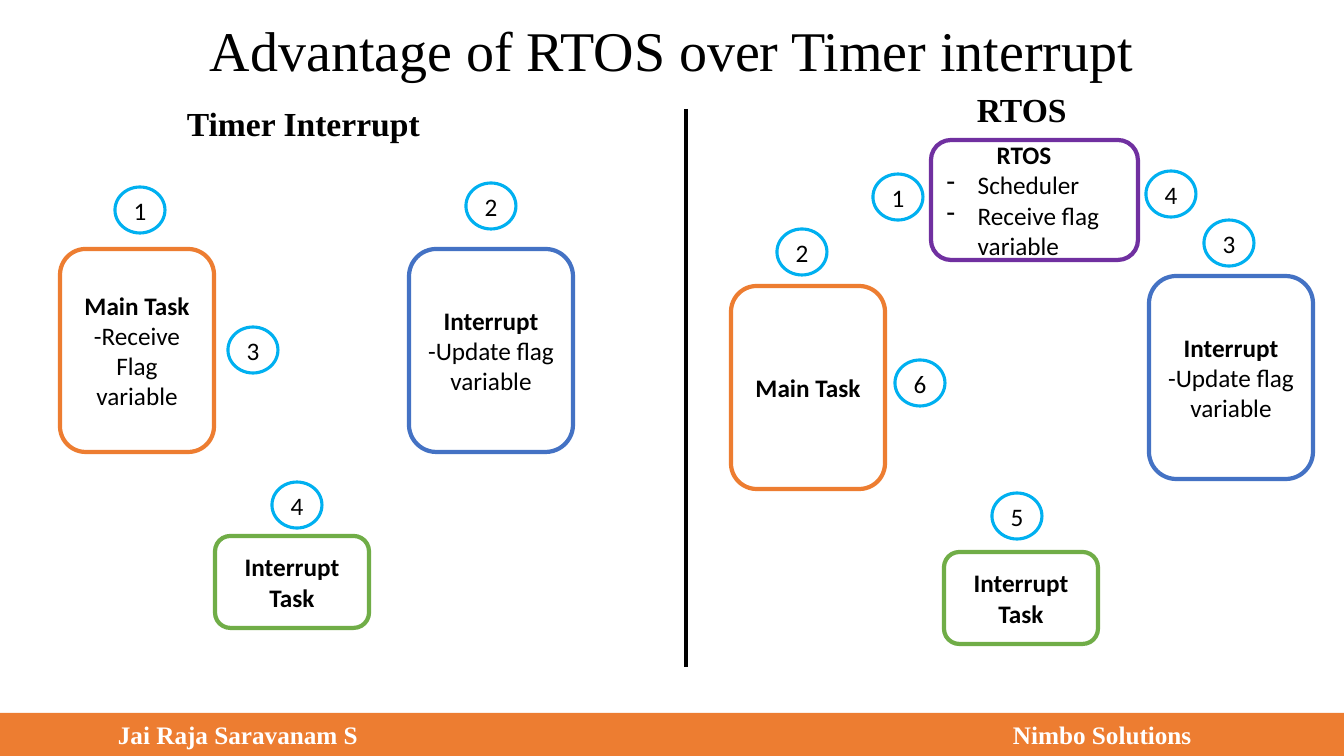
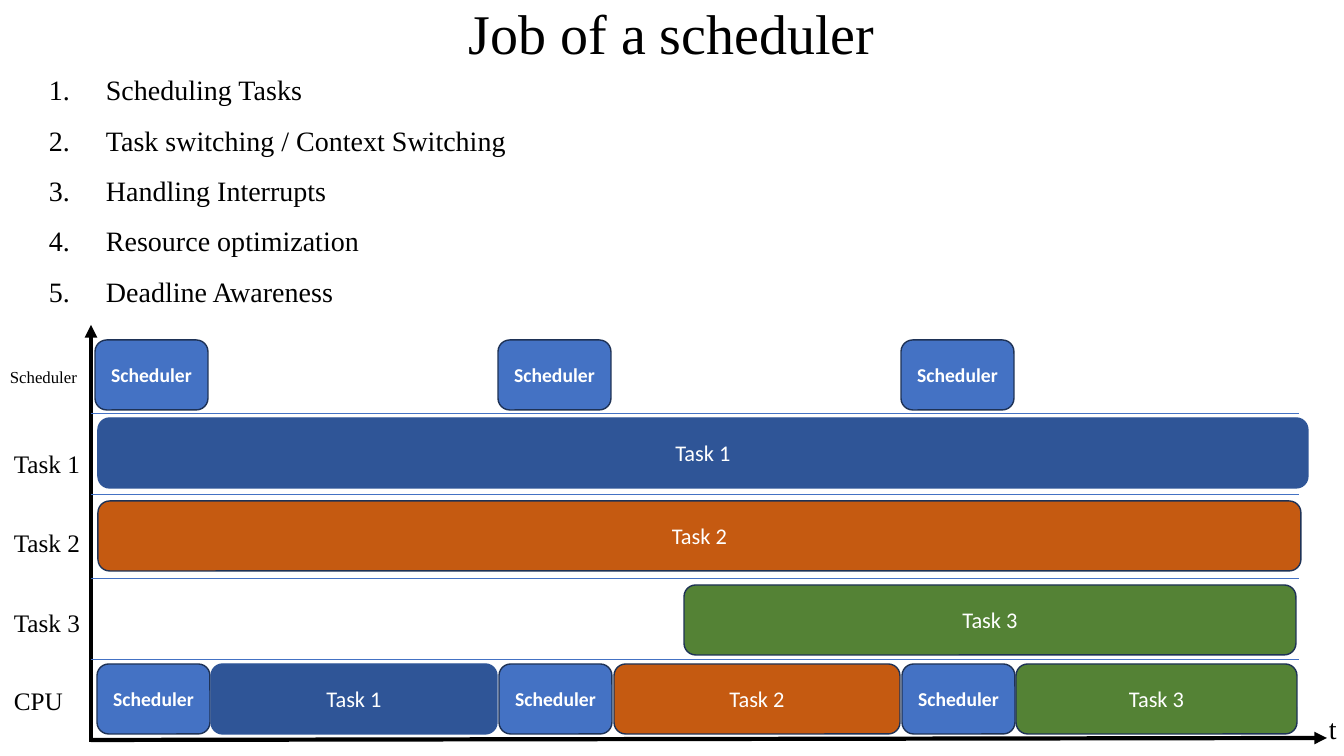
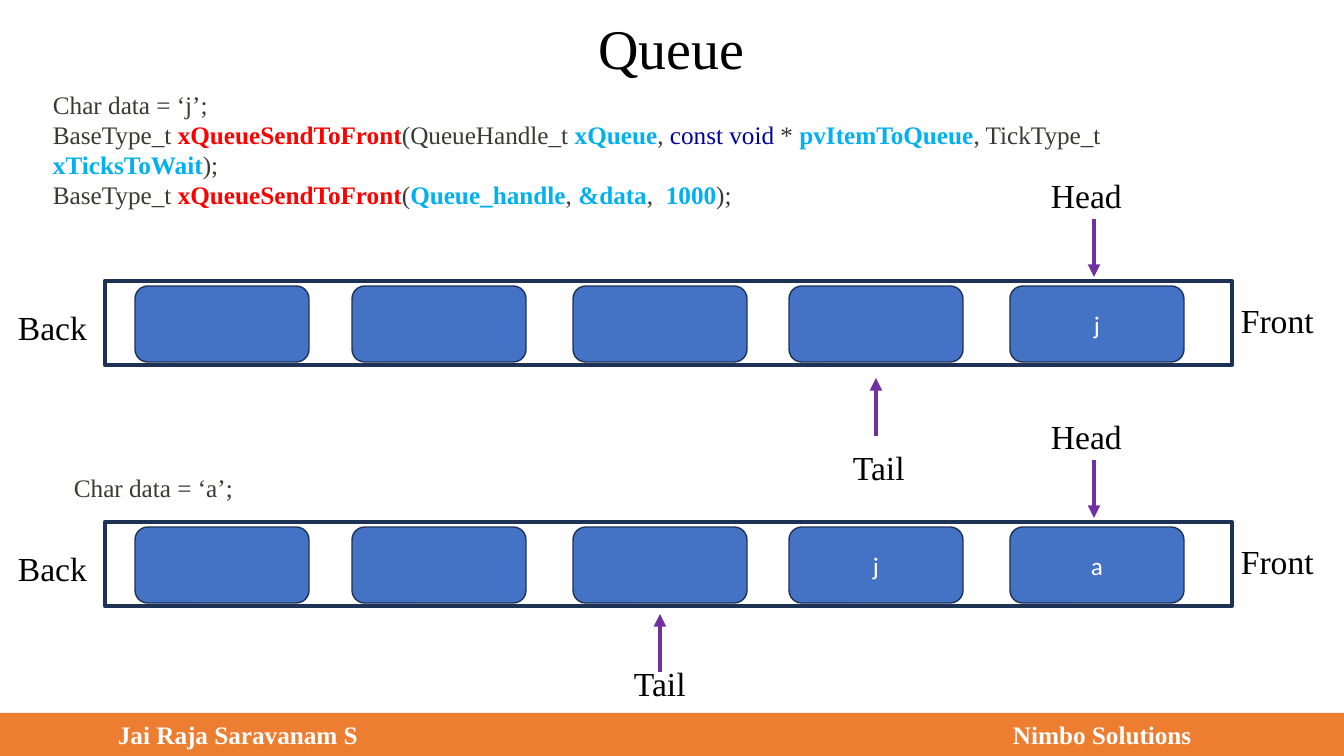
from lxml import etree
from pptx import Presentation
from pptx import util as u
from pptx.dml.color import RGBColor
from pptx.enum import shapes, text
from pptx.oxml.ns import qn

SLIDE_WIDTH, SLIDE_HEIGHT = 1344, 756
EMU_PER_PX = 12192000 / SLIDE_WIDTH

SERIF, SANS = "Times New Roman", "Calibri"
BLACK = RGBColor(0x00, 0x00, 0x00)
WHITE = RGBColor(0xFF, 0xFF, 0xFF)
ORANGE = RGBColor(0xED, 0x7D, 0x31)
GREEN = RGBColor(0x70, 0xAD, 0x47)
BLUE = RGBColor(0x44, 0x72, 0xC4)
PURPLE = RGBColor(0x70, 0x30, 0xA0)
SKY = RGBColor(0x00, 0xB0, 0xF0)
NAVY = RGBColor(0x1E, 0x32, 0x56)
DARK_BLUE = RGBColor(0x2F, 0x55, 0x97)
DARK_ORANGE = RGBColor(0xC5, 0x5A, 0x11)
DARK_GREEN = RGBColor(0x54, 0x82, 0x35)
CODE_INK = RGBColor(0x39, 0x3A, 0x34)
RED = RGBColor(0xFF, 0x00, 0x00)
KEYWORD = RGBColor(0x00, 0x00, 0x9F)

RECT = shapes.MSO_SHAPE.RECTANGLE
ROUND = shapes.MSO_SHAPE.ROUNDED_RECTANGLE
OVAL = shapes.MSO_SHAPE.OVAL
LEFT, CENTER = text.PP_ALIGN.LEFT, text.PP_ALIGN.CENTER

FOOTER_TOP = 713
FOOTER_TEXTS = [(108, "Jai Raja Saravanam S"), (1003, "Nimbo Solutions")]

# Slide 1
COMPARE_TITLE = "Advantage of RTOS over Timer interrupt"
COLUMN_HEADINGS = [("Timer Interrupt", 177, 78, 262), ("RTOS", 967, 64, 135)]
MAIN_SIZE, TASK_SIZE, INTERRUPT_SIZE = (154, 203), (154, 92), (164, 203)
INTERRUPT_LINES = ["Interrupt", "-Update flag variable"]
# left, top, size, outline, lines, number of bold lines
BLOCKS = [
    (60, 249, MAIN_SIZE, ORANGE, ["Main Task", "-Receive Flag variable"], 1),
    (731, 286, MAIN_SIZE, ORANGE, ["Main Task"], 1),
    (944, 552, TASK_SIZE, GREEN, ["Interrupt", "Task"], 2),
    (215, 536, TASK_SIZE, GREEN, ["Interrupt", "Task"], 2),
    (409, 249, INTERRUPT_SIZE, BLUE, INTERRUPT_LINES, 1),
    (1149, 276, INTERRUPT_SIZE, BLUE, INTERRUPT_LINES, 1),
]
RTOS_BOX = (931, 140, 207, 120)
RTOS_DUTIES = ["Scheduler", "Receive flag variable"]
BADGES = [
    ("1", 115, 187), ("2", 466, 183), ("3", 228, 327), ("4", 272, 482),
    ("2", 777, 229), ("3", 1204, 220), ("1", 873, 174), ("4", 1146, 171),
    ("5", 992, 493), ("6", 895, 360),
]

# Slide 2
SCHEDULER_JOBS = [
    "Scheduling Tasks", "Task switching / Context Switching",
    "Handling Interrupts", "Resource optimization", "Deadline Awareness",
]
BAR_STYLES = {  # fill, outline, size, bold
    "Scheduler": (BLUE, NAVY, 14, True),
    "Task 1": (DARK_BLUE, DARK_BLUE, 16, False),
    "Task 2": (DARK_ORANGE, NAVY, 16, False),
    "Task 3": (DARK_GREEN, NAVY, 16, False),
}
SLOT = 113
TIMELINE = [  # row top, bars as (name, left, width)
    (340, [("Scheduler", left, SLOT) for left in (95, 498, 901)]),
    (418, [("Task 1", 98, 1210)]),
    (501, [("Task 2", 98, 1203)]),
    (585, [("Task 3", 684, 612)]),
    (664, [("Scheduler", 97, SLOT), ("Task 1", 211, 286),
           ("Scheduler", 499, SLOT), ("Task 2", 614, 286),
           ("Scheduler", 902, SLOT), ("Task 3", 1016, 281)]),
]
BAR_HEIGHT = 70
ROW_RULES = [413, 494, 578, 659]
AXIS_LABELS = [("Scheduler", 0, 362, 12), ("Task 1", 4, 443, 18),
               ("Task 2", 4, 522, 18), ("Task 3", 4, 602, 18),
               ("CPU", 4, 680, 18)]

# Slide 3
CALL = [("BaseType_t ", CODE_INK), ("xQueueSendToFront", RED)]
FRONT_CODE = [
    [("Char data = ‘j’;", CODE_INK)],
    CALL + [("(QueueHandle_t ", CODE_INK), ("xQueue", SKY), (", ", CODE_INK),
            ("const void", KEYWORD), (" * ", CODE_INK),
            ("pvItemToQueue", SKY), (", TickType_t ", CODE_INK),
            ("xTicksToWait", SKY), (");", CODE_INK)],
    CALL + [("(", CODE_INK), ("Queue_handle", SKY), (", ", CODE_INK),
            ("&data", SKY), (",  ", CODE_INK), ("1000", SKY),
            (");", CODE_INK)],
]
SECOND_CODE = [[("Char data = ‘a’;", CODE_INK)]]
CELL_LEFTS = [135, 352, 573, 789, 1010]
CELL_WIDTH, CELL_HEIGHT = 174, 76
# frame top, cell texts, tail cell, tail arrow top, tail label left and top
QUEUES = [
    (281, ["", "", "", "", "j"], 3, 378, 843, 442),
    (522, ["", "", "", "j", "a"], 2, 614, 624, 658),
]
HEAD_X, ARROW_LENGTH = 1094, 58


def px(value):
    return u.Emu(round(value * EMU_PER_PX))


def box(left, top, width, height):
    return px(left), px(top), px(width), px(height)


def set_bullet(paragraph, indent, tag=None, **attributes):
    """Indent a paragraph, with a hanging bullet when a bullet tag is given."""
    properties = paragraph._p.get_or_add_pPr()
    properties.set("marL", str(px(indent)))
    if tag:
        properties.set("indent", str(-px(indent)))
        etree.SubElement(properties, qn(tag), attributes)


def format_paragraph(paragraph, font, size, color=None, bold=False,
                     align=LEFT, spacing=None):
    paragraph.alignment = align
    if spacing:
        paragraph.line_spacing = spacing
    paragraph.font.name = font
    paragraph.font.size = u.Pt(size)
    paragraph.font.bold = bold
    if color is not None:
        paragraph.font.color.rgb = color


def add_paragraphs(frame, lines):
    """Fill a text frame with one paragraph a line and return them."""
    frame.word_wrap = True
    paragraphs = []
    for line in lines:
        paragraph = frame.add_paragraph() if paragraphs else frame.paragraphs[0]
        if line:
            paragraph.add_run().text = line
        paragraphs.append(paragraph)
    return paragraphs


def add_label(slide, words, left, top, width, height, size, **style):
    label = slide.shapes.add_textbox(*box(left, top, width, height))
    paragraph, = add_paragraphs(label.text_frame, [words])
    format_paragraph(paragraph, SERIF, size, **{"color": BLACK, **style})
    return label


def add_box(slide, kind, bounds, fill=None, outline=None, weight=1):
    shape = slide.shapes.add_shape(kind, *box(*bounds))
    shape.shadow.inherit = False
    if fill is None:
        shape.fill.background()
    else:
        shape.fill.solid()
        shape.fill.fore_color.rgb = fill
    if outline is None:
        shape.line.fill.background()
    else:
        shape.line.color.rgb = outline
        shape.line.width = u.Pt(weight)
    shape.text_frame.vertical_anchor = text.MSO_ANCHOR.MIDDLE
    return shape


def add_centred(shape, words, size, color, bold=False):
    paragraph, = add_paragraphs(shape.text_frame, [words])
    format_paragraph(paragraph, SANS, size, color, bold, CENTER)


def add_line(slide, start, end, color, weight, arrow=False):
    line = slide.shapes.add_connector(
        shapes.MSO_CONNECTOR.STRAIGHT, *map(px, start + end))
    line.line.color.rgb = color
    line.line.width = u.Pt(weight)
    properties = line._element.spPr
    if arrow:
        etree.SubElement(properties.find(qn("a:ln")), qn("a:tailEnd"),
                         type="triangle")
    etree.SubElement(properties, qn("a:effectLst"))


def add_slide(presentation, title, title_top):
    slide = presentation.slides.add_slide(presentation.slide_layouts[5])
    holder = slide.shapes.title
    holder.left, holder.top, holder.width, holder.height = box(
        60, title_top, 1223, 67)
    frame = holder.text_frame
    frame.auto_size = text.MSO_AUTO_SIZE.NONE
    frame.vertical_anchor = text.MSO_ANCHOR.MIDDLE
    paragraph, = add_paragraphs(frame, [title])
    format_paragraph(paragraph, SERIF, 40, BLACK, align=CENTER, spacing=0.9)
    return slide


def add_footer(slide):
    height = SLIDE_HEIGHT - FOOTER_TOP
    add_box(slide, RECT, (0, FOOTER_TOP, SLIDE_WIDTH, height), ORANGE)
    for left, words in FOOTER_TEXTS:
        label = add_label(slide, words, left, FOOTER_TOP, 320, height, 18,
                          color=WHITE, bold=True)
        label.text_frame.vertical_anchor = text.MSO_ANCHOR.MIDDLE


def build_comparison(presentation):
    slide = add_slide(presentation, COMPARE_TITLE, 20)
    add_footer(slide)
    add_line(slide, (686, 109), (686, 667), BLACK, 3)
    for words, left, top, width in COLUMN_HEADINGS:
        add_label(slide, words, left, top, width, 64, 24,
                  bold=True, spacing=1.5)

    for left, top, size, outline, lines, bold_count in BLOCKS:
        block = add_box(slide, ROUND, (left, top, *size), WHITE, outline, 3)
        paragraphs = add_paragraphs(block.text_frame, lines)
        for index, paragraph in enumerate(paragraphs):
            format_paragraph(paragraph, SANS, 18, BLACK,
                             index < bold_count, CENTER)

    rtos = add_box(slide, ROUND, RTOS_BOX, WHITE, PURPLE, 3)
    heading, *duties = add_paragraphs(rtos.text_frame, ["RTOS"] + RTOS_DUTIES)
    set_bullet(heading, 50)
    format_paragraph(heading, SANS, 18, BLACK, bold=True)
    for duty in duties:
        set_bullet(duty, 31, "a:buChar", char="-")
        format_paragraph(duty, SANS, 18, BLACK)

    for number, left, top in BADGES:
        badge = add_box(slide, OVAL, (left, top, 50, 46), None, SKY, 2.25)
        add_centred(badge, number, 18, BLACK)


def build_scheduler(presentation):
    slide = add_slide(presentation, "Job of a scheduler", 3)
    jobs = slide.shapes.add_textbox(*box(39, 51, 672, 295))
    for paragraph in add_paragraphs(jobs.text_frame, SCHEDULER_JOBS):
        set_bullet(paragraph, 57, "a:buAutoNum", type="arabicPeriod")
        format_paragraph(paragraph, SERIF, 20, BLACK, spacing=1.5)

    add_line(slide, (91, 742), (91, 325), BLACK, 3, arrow=True)
    add_line(slide, (91, 740), (1327, 738), BLACK, 3, arrow=True)
    for y in ROW_RULES:
        add_line(slide, (91, y), (1299, y), BLUE, 0.5)
    for top, bars in TIMELINE:
        for name, left, width in bars:
            fill, outline, size, bold = BAR_STYLES[name]
            bar = add_box(slide, ROUND, (left, top, width, BAR_HEIGHT),
                          fill, outline)
            add_centred(bar, name, size, WHITE, bold)
    for words, left, top, size in AXIS_LABELS:
        add_label(slide, words, left, top, 95, 40, size)
    add_label(slide, "t", 1319, 707, 25, 44, 20)


def add_code(slide, lines, left, top, width, height):
    code = slide.shapes.add_textbox(*box(left, top, width, height))
    paragraphs = add_paragraphs(code.text_frame, [""] * len(lines))
    for paragraph, parts in zip(paragraphs, lines):
        format_paragraph(paragraph, SERIF, 18)
        for words, color in parts:
            run = paragraph.add_run()
            run.text = words
            run.font.color.rgb = color
            run.font.bold = color in (RED, SKY)


def build_queue(presentation):
    slide = add_slide(presentation, "Queue", 18)
    add_code(slide, FRONT_CODE, 43, 84, 1116, 163)
    add_code(slide, SECOND_CODE, 64, 467, 673, 40)
    for top, cells, tail, arrow_top, tail_left, tail_top in QUEUES:
        add_box(slide, RECT, (105, top, 1127, 84), None, NAVY, 3)
        for left, words in zip(CELL_LEFTS, cells):
            cell = add_box(slide, ROUND,
                           (left, top + 5, CELL_WIDTH, CELL_HEIGHT),
                           BLUE, NAVY)
            if words:
                add_centred(cell, words, 18, WHITE)
        add_line(slide, (HEAD_X, top - 4 - ARROW_LENGTH), (HEAD_X, top - 4),
                 PURPLE, 3, arrow=True)
        tail_x = CELL_LEFTS[tail] + CELL_WIDTH / 2
        add_line(slide, (tail_x, arrow_top + ARROW_LENGTH),
                 (tail_x, arrow_top), PURPLE, 3, arrow=True)
        for words, left, label_top in [
                ("Head", 1041, top - 111), ("Tail", tail_left, tail_top),
                ("Back", 8, top + 21), ("Front", 1231, top + 14)]:
            add_label(slide, words, left, label_top, 112, 50, 24)
    add_footer(slide)


def main():
    presentation = Presentation()
    presentation.slide_width = px(SLIDE_WIDTH)
    presentation.slide_height = px(SLIDE_HEIGHT)
    build_comparison(presentation)
    build_scheduler(presentation)
    build_queue(presentation)
    presentation.save("out.pptx")


if __name__ == "__main__":
    main()
